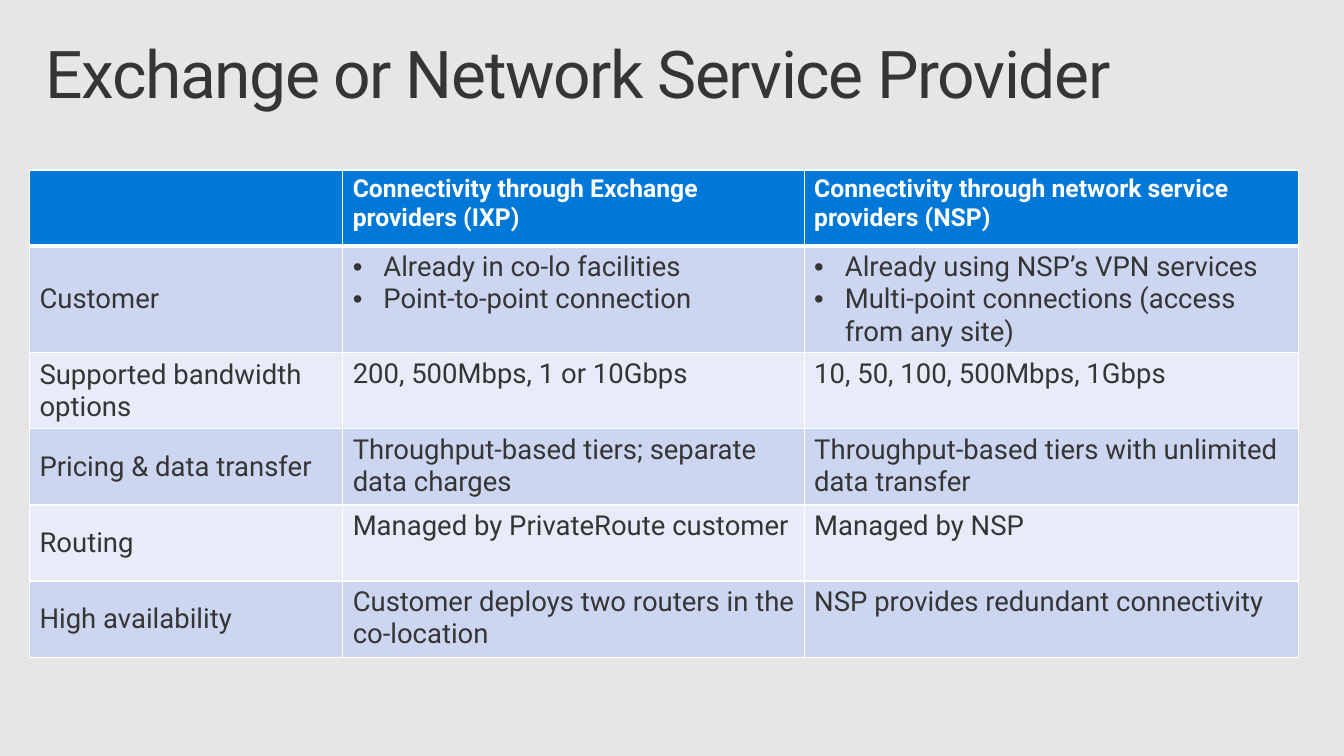
from dataclasses import dataclass
from typing import Any

from lxml import etree
from pptx import Presentation
from pptx import util as u
from pptx.dml.color import RGBColor
from pptx.enum import text as t
from pptx.oxml.ns import qn


@dataclass(frozen=True)
class Theme:
    font: str = "Roboto"
    back: str = "E6E6E6"
    ink: str = "353535"
    white: str = "FFFFFF"
    head: str = "0078D7"
    dark: str = "CCD6F0"
    light: str = "E7ECF8"
    title: int = 48
    label: int = 18
    body: int = 20
    thin: int = 1
    thick: int = 3


@dataclass(frozen=True)
class Row:
    name: str
    ixp: tuple[str, ...]
    nsp: tuple[str, ...]


THEME = Theme()
TITLE = "Exchange or Network Service Provider"
WIDTHS = (3.17, 4.67, 5)
HEIGHT = 0.77
ROWS = (
    Row("", ("Connectivity through Exchange providers (IXP)",),
        ("Connectivity through network service providers (NSP)",)),
    Row("Customer", ("Already in co-lo facilities", "Point-to-point connection"),
        ("Already using NSP’s VPN services",
         "Multi-point connections (access from any site)")),
    Row("Supported bandwidth options", ("200, 500Mbps, 1 or 10Gbps",),
        ("10, 50, 100, 500Mbps, 1Gbps",)),
    Row("Pricing & data transfer",
        ("Throughput-based tiers; separate data charges",),
        ("Throughput-based tiers with unlimited data transfer",)),
    Row("Routing", ("Managed by PrivateRoute customer",), ("Managed by NSP",)),
    Row("High availability",
        ("Customer deploys two routers in the co-location",),
        ("NSP provides redundant connectivity",)),
)


def write(frame: Any, lines: tuple[str, ...], *, size: int, color: str,
          bold: bool = False, bullet: bool = False, space: float = 0,
          lead: float = 1) -> None:
    for i, line in enumerate(lines):
        para = frame.paragraphs[0] if i == 0 else frame.add_paragraph()
        para.alignment = t.PP_ALIGN.LEFT
        para.line_spacing = lead
        if bullet:
            prop = para._p.get_or_add_pPr()
            prop.set("marL", str(u.Inches(0.31)))
            prop.set("indent", str(u.Inches(-0.31)))
            etree.SubElement(prop, qn("a:buFont"), typeface="Arial")
            etree.SubElement(prop, qn("a:buChar"), char="•")
        run = para.add_run()
        run.text = line
        font = run.font
        font.name, font.size, font.bold = THEME.font, u.Pt(size), bold
        font.color.rgb = RGBColor.from_string(color)
        if space:
            run._r.get_or_add_rPr().set("spc", str(round(space * 100)))


def edge(cell: Any, top: int, base: int) -> None:
    prop = cell._tc.get_or_add_tcPr()
    sides = {"lnL": THEME.thin, "lnR": THEME.thin, "lnT": top, "lnB": base}
    for i, (side, width) in enumerate(sides.items()):
        line = etree.Element(qn(f"a:{side}"), w=str(u.Pt(width)))
        fill = etree.SubElement(line, qn("a:solidFill"))
        etree.SubElement(fill, qn("a:srgbClr"), val=THEME.white)
        prop.insert(i, line)


def draw_title(slide: Any) -> None:
    box = slide.shapes.title
    box.left, box.top = u.Inches(0.3), u.Inches(0.32)
    box.width, box.height = u.Inches(13), u.Inches(1)
    frame = box.text_frame
    frame.word_wrap = True
    frame.auto_size = t.MSO_AUTO_SIZE.NONE
    frame.vertical_anchor = t.MSO_ANCHOR.TOP
    frame.margin_left = frame.margin_right = u.Inches(0.16)
    frame.margin_top = frame.margin_bottom = u.Inches(0.1)
    write(frame, (TITLE,), size=THEME.title, color=THEME.ink, space=-1, lead=0.9)


def draw_row(grid: Any, index: int, row: Row) -> None:
    head = index == 0
    shade = THEME.head if head else (THEME.dark if index % 2 else THEME.light)
    for col, lines in enumerate(((row.name,), row.ixp, row.nsp)):
        cell = grid.cell(index, col)
        cell.fill.solid()
        cell.fill.fore_color.rgb = RGBColor.from_string(shade)
        edge(cell, THEME.thick if index == 1 else THEME.thin,
             THEME.thick if head else THEME.thin)
        if col == 0:
            cell.vertical_anchor = t.MSO_ANCHOR.MIDDLE
        if any(lines):
            write(cell.text_frame, lines, bold=head, bullet=len(lines) > 1,
                  size=THEME.label if head else THEME.body,
                  color=THEME.white if head else THEME.ink)


def draw_table(slide: Any) -> None:
    grid = slide.shapes.add_table(
        len(ROWS), len(WIDTHS), u.Inches(0.3), u.Inches(1.72),
        u.Inches(sum(WIDTHS)), u.Inches(HEIGHT * len(ROWS))).table
    grid.first_row = grid.horz_banding = False
    for col, width in zip(grid.columns, WIDTHS):
        col.width = u.Inches(width)
    for index, row in enumerate(ROWS):
        grid.rows[index].height = u.Inches(HEIGHT)
        draw_row(grid, index, row)


def main() -> None:
    deck = Presentation()
    deck.slide_width, deck.slide_height = u.Inches(13.6), u.Inches(7.65)
    slide = deck.slides.add_slide(deck.slide_layouts[5])
    slide.background.fill.solid()
    slide.background.fill.fore_color.rgb = RGBColor.from_string(THEME.back)
    draw_title(slide)
    draw_table(slide)
    deck.save("out.pptx")


if __name__ == "__main__":
    main()
